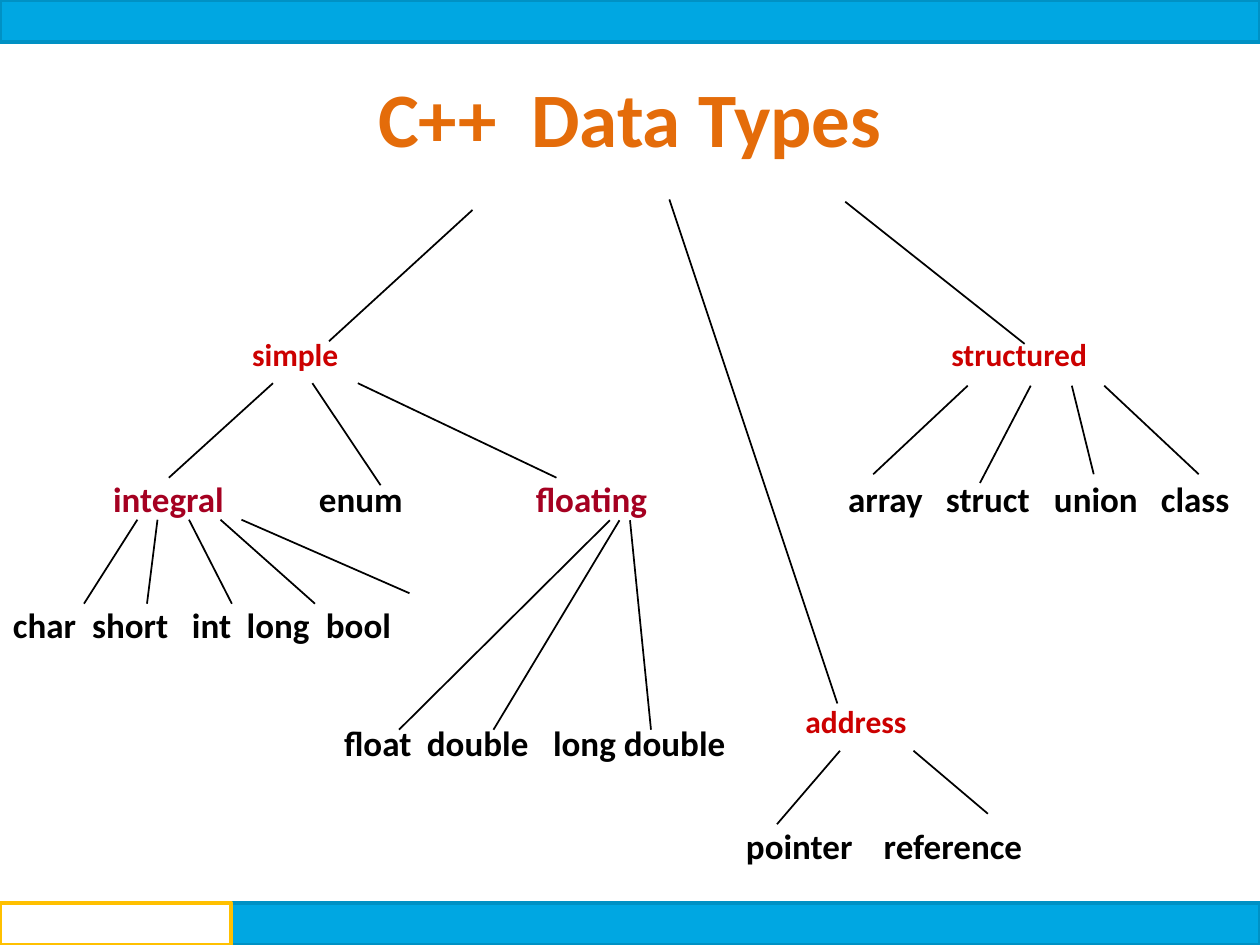
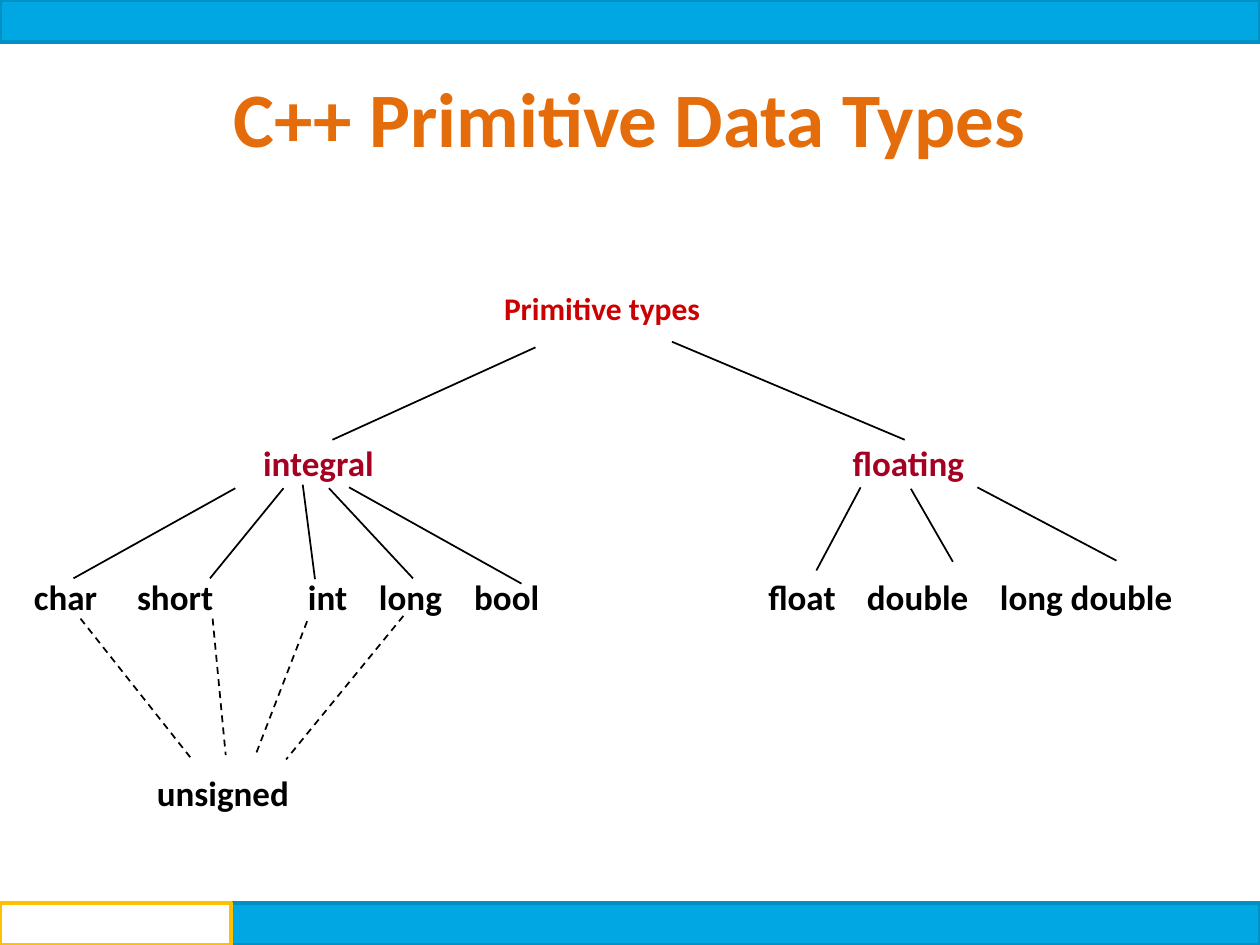
from typing import Any, NamedTuple

from lxml import etree
from pptx import Presentation
from pptx.dml.color import RGBColor
from pptx.enum.dml import MSO_LINE
from pptx.enum.shapes import MSO_CONNECTOR, MSO_SHAPE
from pptx.enum.text import MSO_ANCHOR, PP_ALIGN
from pptx.oxml.ns import qn
from pptx.slide import Slide
from pptx.util import Pt

RECTANGLE = MSO_SHAPE.RECTANGLE
STRAIGHT = MSO_CONNECTOR.STRAIGHT
SOLID, DASH = MSO_LINE.SOLID, MSO_LINE.DASH
MIDDLE = MSO_ANCHOR.MIDDLE
LEFT, CENTER = PP_ALIGN.LEFT, PP_ALIGN.CENTER

ORANGE = RGBColor(0xE4, 0x6C, 0x0A)
RED = RGBColor(0xCC, 0x00, 0x00)
CRIMSON = RGBColor(0xA5, 0x00, 0x21)
BLACK = RGBColor(0x00, 0x00, 0x00)
WHITE = RGBColor(0xFF, 0xFF, 0xFF)
BLUE = RGBColor(0x00, 0xA7, 0xE2)
DARK_BLUE = RGBColor(0x00, 0x91, 0xC4)
GOLD = RGBColor(0xFF, 0xC0, 0x00)

SLIDE_WIDTH, SLIDE_HEIGHT = 720, 540
LABEL_HEIGHT = 24
LABEL_SLACK = 8

# Text formats
BASE = {"name": "Calibri", "bold": True}
TITLE = BASE | {"size": Pt(44), "color": ORANGE}
CATEGORY = BASE | {"size": Pt(18), "color": RED}
FAMILY = BASE | {"size": Pt(20), "color": CRIMSON}
TYPE = BASE | {"size": Pt(20), "color": BLACK}

# Width of each word of the trees, in points
WORD_WIDTHS = {
    "simple": 49, "structured": 77, "address": 58, "Primitive types": 112,
    "integral": 63, "floating": 64, "enum": 47,
    "array": 42, "struct": 47, "union": 47, "class": 39,
    "char": 36, "short": 43, "int": 22, "long": 36, "bool": 37,
    "float": 38, "double": 58, "long double": 98,
    "pointer": 61, "reference": 79, "unsigned": 75,
}


class WordRow(NamedTuple):
    """Words with one top edge and one format, each with its left edge."""
    top: float
    text_format: dict[str, Any]
    lefts: dict[str, float]


class Branch(NamedTuple):
    start_x: float
    start_y: float
    end_x: float
    end_y: float
    dash: MSO_LINE = SOLID


class Band(NamedTuple):
    left: float
    top: float
    width: float
    height: float
    fill: RGBColor
    line: RGBColor
    line_width: float


class Tree(NamedTuple):
    title: str
    rows: list[WordRow]
    branches: list[Branch]


BANDS = [
    Band(0, 0, SLIDE_WIDTH, 24, BLUE, DARK_BLUE, 2),
    Band(0, 516, SLIDE_WIDTH, 24, BLUE, DARK_BLUE, 2),
    Band(0, 515.8, 132, 24.2, WHITE, GOLD, 2.25),
]


def fan(start_y: float, end_y: float, *pairs: tuple[float, float]) -> list[Branch]:
    """Branches that share their start and end heights."""
    return [Branch(start_x, start_y, end_x, end_y) for start_x, end_x in pairs]


DATA_TYPES = Tree(
    "C++  Data Types",
    [
        WordRow(191.5, CATEGORY, {"simple": 144, "structured": 543.6}),
        WordRow(401, CATEGORY, {"address": 460.3}),
        WordRow(273, FAMILY, {"integral": 64.6, "floating": 306.2}),
        WordRow(273, TYPE, {"enum": 182.3, "array": 484.6, "struct": 540.6,
                            "union": 602.3, "class": 663.4}),
        WordRow(345, TYPE, {"char": 7.4, "short": 52.6, "int": 109.7,
                            "long": 141, "bool": 186.3}),
        WordRow(412.4, TYPE, {"float": 196.6, "double": 244, "long double": 316}),
        WordRow(471, TYPE, {"pointer": 426.3, "reference": 505}),
    ],
    [
        # Root to categories
        Branch(270, 120, 188, 195),
        Branch(382.5, 114, 478.5, 402),
        Branch(483, 115.3, 585.5, 196.5),
        # Structured
        *fan(220.4, 271, (553, 499), (612.5, 625), (631, 685)),
        Branch(589, 220.4, 560, 276),
        # Address
        Branch(480, 429, 444, 471),
        Branch(522, 429, 564.5, 465),
        # Simple
        *fan(219, 273, (156, 96.5), (204.5, 318)),
        Branch(178.5, 219, 217.5, 277.3),
        # Integral
        *fan(297, 345, (78.5, 48), (90, 84), (108, 132.5), (126, 180)),
        Branch(138, 297, 234, 339),
        # Floating
        *fan(297.3, 417, (348.5, 228), (354, 282), (360, 372)),
    ],
)

PRIMITIVE_TYPES = Tree(
    "C++ Primitive Data Types",
    [
        WordRow(165.4, CATEGORY, {"Primitive types": 288}),
        WordRow(252, FAMILY, {"integral": 150.3, "floating": 487.3}),
        WordRow(329, TYPE, {"char": 19.4, "short": 78.3, "int": 176, "long": 216.6,
                            "bool": 271, "float": 439, "double": 495.4,
                            "long double": 571.4}),
        WordRow(440.6, TYPE, {"unsigned": 89.7}),
    ],
    [
        # Root to families
        Branch(306, 198.5, 190, 251.3),
        Branch(384, 195.3, 517, 251.3),
        # Integral
        *fan(279, 330.5, (134.5, 42), (162, 120), (188, 236)),
        Branch(173, 277, 180, 331),
        Branch(199.5, 278.5, 298, 333.5),
        # Floating
        Branch(491.8, 278.5, 466.5, 326),
        Branch(520.5, 279.3, 544.5, 321),
        Branch(558.5, 278.5, 638, 320.4),
        # Types that can be unsigned
        Branch(46, 353.5, 108.7, 432.7, DASH),
        Branch(121.5, 353.5, 129, 431.5, DASH),
        Branch(175.5, 355, 146, 431.5, DASH),
        Branch(230.5, 352, 163.5, 434, DASH),
    ],
)


def write_text(shape: Any, text: str, text_format: dict[str, Any], alignment: PP_ALIGN) -> None:
    paragraph = shape.text_frame.paragraphs[0]
    paragraph.alignment = alignment
    run = paragraph.add_run()
    run.text = text
    for name, value in text_format.items():
        if name == "color":
            run.font.color.rgb = value
        else:
            setattr(run.font, name, value)


def add_title(slide: Slide, text: str) -> None:
    title = slide.shapes.title
    placement = {"left": 36, "top": 21.6, "width": 648, "height": 90}
    for name, value in placement.items():
        setattr(title, name, Pt(value))
    title.text_frame.vertical_anchor = MIDDLE
    write_text(title, text, TITLE, CENTER)


def add_word_row(slide: Slide, row: WordRow) -> None:
    for word, left in row.lefts.items():
        label = slide.shapes.add_textbox(
            Pt(left), Pt(row.top), Pt(WORD_WIDTHS[word] + LABEL_SLACK), Pt(LABEL_HEIGHT))
        label.text_frame.word_wrap = True
        for side in ("left", "top", "right", "bottom"):
            setattr(label.text_frame, f"margin_{side}", 0)
        write_text(label, word, row.text_format, LEFT)


def add_branch(slide: Slide, branch: Branch) -> None:
    connector = slide.shapes.add_connector(
        STRAIGHT, Pt(branch.start_x), Pt(branch.start_y), Pt(branch.end_x), Pt(branch.end_y))
    connector.line.color.rgb = BLACK
    connector.line.width = Pt(1)
    connector.line.dash_style = branch.dash
    etree.SubElement(connector._element.spPr, qn("a:effectLst"))


def add_band(slide: Slide, band: Band) -> None:
    shape = slide.shapes.add_shape(
        RECTANGLE, Pt(band.left), Pt(band.top), Pt(band.width), Pt(band.height))
    shape.shadow.inherit = False
    shape.fill.solid()
    shape.fill.fore_color.rgb = band.fill
    shape.line.color.rgb = band.line
    shape.line.width = Pt(band.line_width)


def add_tree_slide(presentation: Any, tree: Tree) -> None:
    title_only = presentation.slide_layouts.get_by_name("Title Only")
    slide = presentation.slides.add_slide(title_only)
    add_title(slide, tree.title)
    for branch in tree.branches:
        add_branch(slide, branch)
    for row in tree.rows:
        add_word_row(slide, row)
    for band in BANDS:
        add_band(slide, band)


def main() -> None:
    presentation = Presentation()
    presentation.slide_width = Pt(SLIDE_WIDTH)
    presentation.slide_height = Pt(SLIDE_HEIGHT)
    for tree in (DATA_TYPES, PRIMITIVE_TYPES):
        add_tree_slide(presentation, tree)
    presentation.save("out.pptx")


if __name__ == "__main__":
    main()
